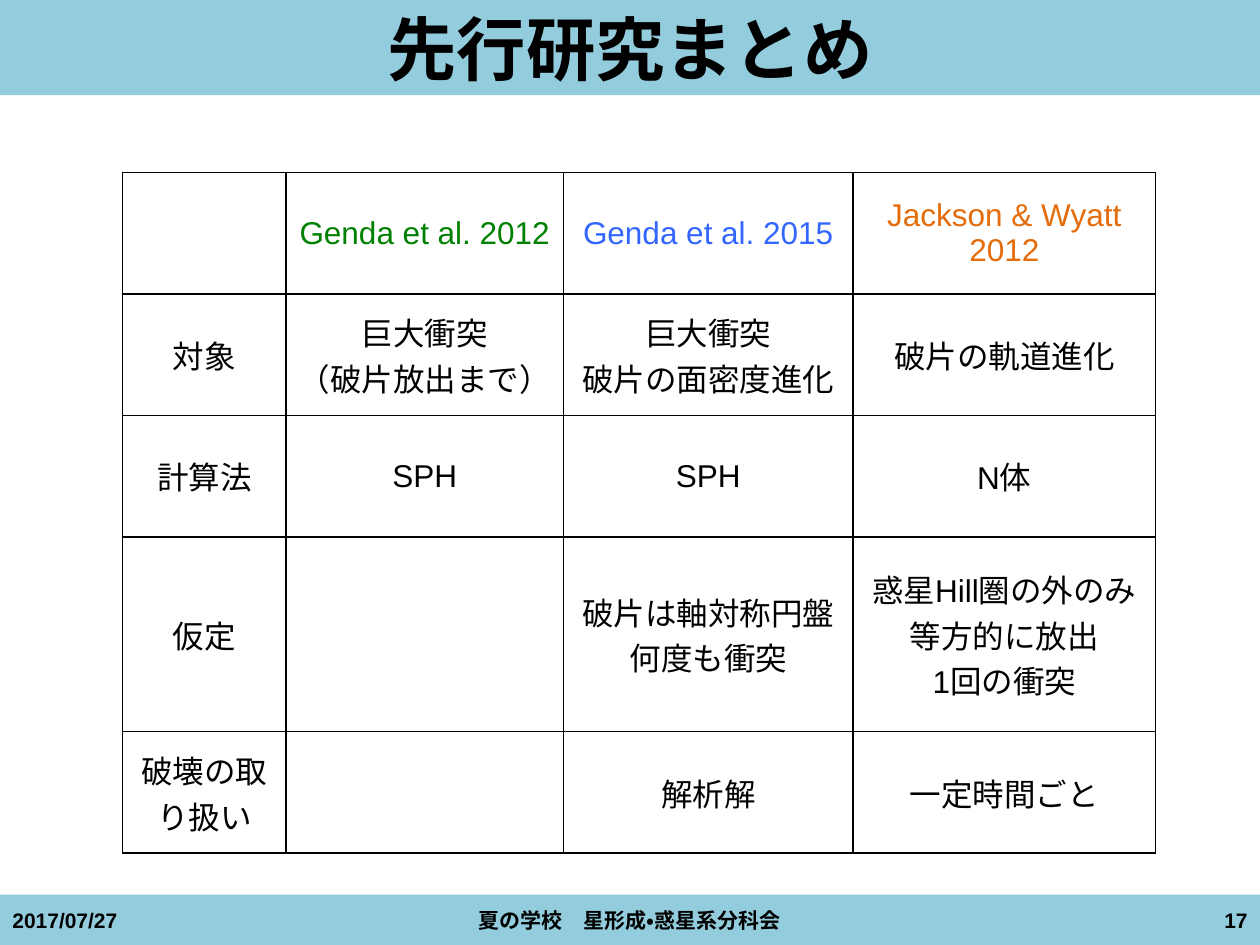
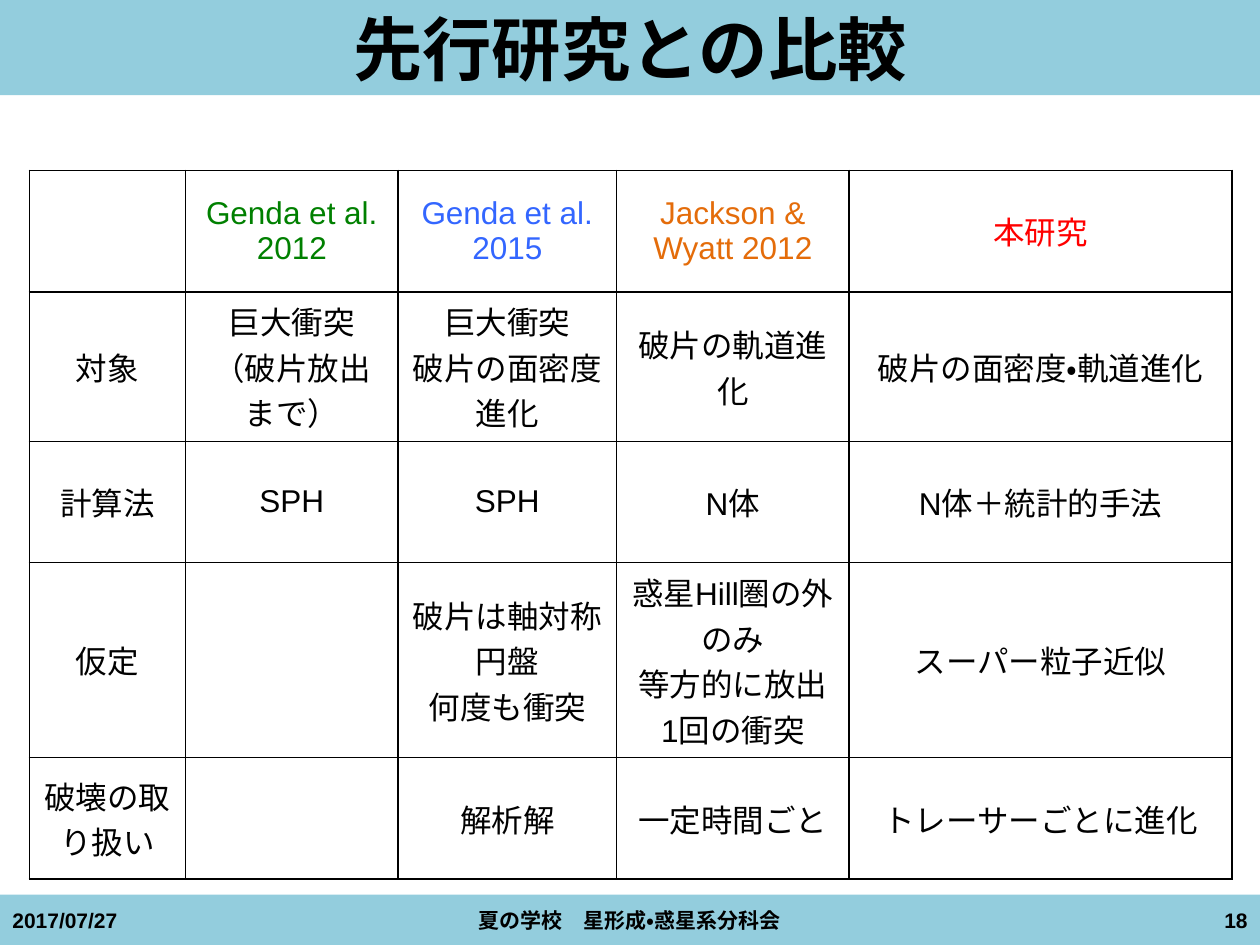
from itertools import groupby

from lxml import etree
from pptx import Presentation
from pptx.dml.color import RGBColor
from pptx.enum.lang import MSO_LANGUAGE_ID
from pptx.enum.shapes import MSO_SHAPE
from pptx.enum.text import MSO_ANCHOR, MSO_AUTO_SIZE, PP_ALIGN
from pptx.oxml.ns import qn
from pptx.util import Pt

RECTANGLE = MSO_SHAPE.RECTANGLE
MIDDLE = MSO_ANCHOR.MIDDLE
NO_AUTOFIT = MSO_AUTO_SIZE.NONE
LEFT, CENTER, RIGHT = PP_ALIGN.LEFT, PP_ALIGN.CENTER, PP_ALIGN.RIGHT
JAPANESE = MSO_LANGUAGE_ID.JAPANESE

COLORS = {
    "band": "93CDDD",
    "text": "000000",
    "genda_2012": "008000",
    "genda_2015": "3366FF",
    "jackson": "E46C0A",
    "this_study": "FF0000",
}
SANS, SERIF = "Arial", "Cambria"
WIDTH, HEIGHT = 720, 540
TITLE_BOX = (0, 0, WIDTH, 54.4)
FOOTER_BOX = (0, 511.2, WIDTH, 28.8)
ROW_HEIGHT, THREE_LINE_HEIGHT, FOUR_LINE_HEIGHT = 69.4, 85.4, 111.4
DATE = "2017/07/27"
MEETING = "夏の学校　星形成・惑星系分科会"

ROW_LABELS = ["", "対象", "計算法", "仮定", "破壊の取り扱い"]
STUDIES = [
    ("genda_2012", ["Genda et al. 2012", "巨大衝突\n（破片放出まで）", "SPH", "", ""]),
    ("genda_2015", ["Genda et al. 2015", "巨大衝突\n破片の面密度進化", "SPH",
                    "破片は軸対称円盤\n何度も衝突", "解析解"]),
    ("jackson", ["Jackson & Wyatt 2012", "破片の軌道進化", "N体",
                 "惑星Hill圏の外のみ\n等方的に放出\n1回の衝突", "一定時間ごと"]),
]
THIS_STUDY = ("this_study", ["本研究", "破片の面密度・軌道進化", "N体＋統計的手法",
                             "スーパー粒子近似", "トレーサーごとに進化"])
SANS_ROWS = (0, 3)
FIRST_SANS_COLUMN = 3


def points(box):
    """Convert a box of point values to lengths."""
    return [Pt(value) for value in box]


def split_fonts(text, font):
    """Yield pieces of text with their fonts, keeping ASCII in the sans font."""
    if font == SANS:
        yield text, SANS
        return
    for is_ascii, characters in groupby(text, str.isascii):
        yield "".join(characters), SANS if is_ascii else font


def write_text(frame, text, size=18, font=SANS, color="text", bold=False, align=CENTER):
    """Write each line of text as a formatted paragraph."""
    for index, line in enumerate(text.split("\n")):
        paragraph = frame.add_paragraph() if index else frame.paragraphs[0]
        paragraph.alignment = align
        for piece, piece_font in split_fonts(line, font):
            run = paragraph.add_run()
            run.text = piece
            run.font.size = Pt(size)
            run.font.name = piece_font
            run.font.bold = bold
            run.font.color.rgb = RGBColor.from_string(COLORS[color])
            run.font.language_id = JAPANESE


def fill_band(shape):
    """Give a shape the band colour."""
    shape.fill.solid()
    shape.fill.fore_color.rgb = RGBColor.from_string(COLORS["band"])


def add_title(slide, text, box):
    """Place the title as a coloured band."""
    title = slide.shapes.title
    title.left, title.top, title.width, title.height = points(box)
    fill_band(title)
    frame = title.text_frame
    frame.auto_size = NO_AUTOFIT
    frame.vertical_anchor = MIDDLE
    write_text(frame, text, size=39.6, bold=True)


def add_footer(slide, number, box):
    """Draw the footer band with date, meeting and slide number."""
    left, top, width, height = box
    band = slide.shapes.add_shape(RECTANGLE, *points(box))
    band.shadow.inherit = False
    band.line.fill.background()
    fill_band(band)
    side_width = 168
    middle_width = 228
    parts = [
        (DATE, left, side_width, LEFT, SANS),
        (MEETING, left + (width - middle_width) / 2, middle_width, CENTER, SERIF),
        (str(number), left + width - side_width, side_width, RIGHT, SANS),
    ]
    for text, part_left, part_width, align, font in parts:
        text_box = slide.shapes.add_textbox(*points((part_left, top, part_width, height)))
        frame = text_box.text_frame
        frame.word_wrap = True
        frame.vertical_anchor = MIDDLE
        write_text(frame, text, size=12, font=font, bold=True, align=align)


def add_borders(cell):
    """Draw a thin line on all four sides of a cell."""
    properties = cell._tc.get_or_add_tcPr()
    for index, side in enumerate(("a:lnL", "a:lnR", "a:lnT", "a:lnB")):
        line = etree.Element(qn(side), w=str(Pt(1)))
        fill = etree.SubElement(line, qn("a:solidFill"))
        etree.SubElement(fill, qn("a:srgbClr"), val=COLORS["text"])
        properties.insert(index, line)


def add_study_table(slide, studies, left, top, column_widths, tall_rows):
    """Build the table with one column for each study."""
    columns = [("text", ROW_LABELS)] + studies
    row_heights = [tall_rows.get(index, ROW_HEIGHT) for index in range(len(ROW_LABELS))]
    box = (left, top, sum(column_widths), sum(row_heights))
    table = slide.shapes.add_table(len(ROW_LABELS), len(columns), *points(box)).table
    table.first_row = table.horz_banding = False
    for row, height in zip(table.rows, row_heights):
        row.height = Pt(height)
    for column_index, (header_color, texts) in enumerate(columns):
        table.columns[column_index].width = Pt(column_widths[column_index])
        for row_index, text in enumerate(texts):
            cell = table.cell(row_index, column_index)
            cell.fill.background()
            cell.vertical_anchor = MIDDLE
            add_borders(cell)
            if text:
                is_sans = row_index in SANS_ROWS and column_index >= FIRST_SANS_COLUMN
                write_text(cell.text_frame, text, font=SANS if is_sans else SERIF,
                           color="text" if row_index else header_color)


def add_study_slide(presentation, title, number, **table_format):
    """Add a slide with title, study table and footer."""
    slide = presentation.slides.add_slide(presentation.slide_layouts[5])
    add_title(slide, title, TITLE_BOX)
    add_footer(slide, number, FOOTER_BOX)
    add_study_table(slide, **table_format)


def main():
    """Build and save the presentation."""
    presentation = Presentation()
    presentation.slide_width, presentation.slide_height = Pt(WIDTH), Pt(HEIGHT)
    add_study_slide(presentation, "先行研究まとめ", 17, studies=STUDIES,
                    left=69.9, top=98.6, column_widths=[93.6, 158.4, 165.6, 172.8],
                    tall_rows={3: FOUR_LINE_HEIGHT})
    add_study_slide(presentation, "先行研究との比較", 18, studies=STUDIES + [THIS_STUDY],
                    left=16.8, top=97.4, column_widths=[89.2, 121.5, 124.8, 133, 218.8],
                    tall_rows={1: THREE_LINE_HEIGHT, 3: FOUR_LINE_HEIGHT})
    presentation.save("out.pptx")


if __name__ == "__main__":
    main()
